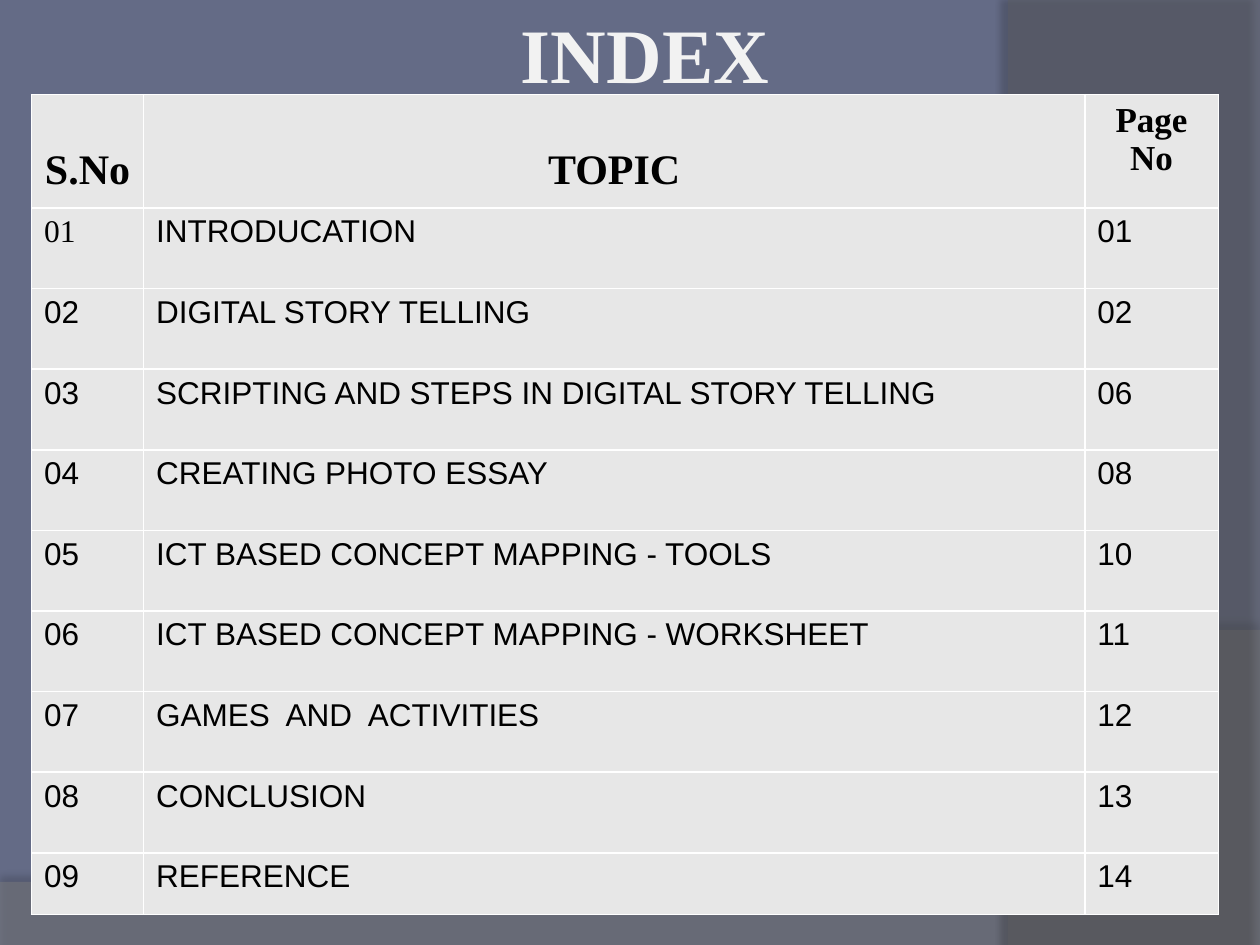
from lxml import etree
from pptx import Presentation
from pptx import util as u
from pptx.dml.color import RGBColor
from pptx.enum import text
from pptx.oxml import parse_xml
from pptx.oxml.ns import nsdecls, qn

SERIF, SANS = "Times New Roman", "Arial"
TOPICS = [
    ("INTRODUCATION", "01"),
    ("DIGITAL STORY TELLING", "02"),
    ("SCRIPTING AND STEPS IN DIGITAL STORY TELLING", "06"),
    ("CREATING PHOTO ESSAY", "08"),
    ("ICT BASED CONCEPT MAPPING - TOOLS", "10"),
    ("ICT BASED CONCEPT MAPPING - WORKSHEET", "11"),
    ("GAMES  AND  ACTIVITIES", "12"),
    ("CONCLUSION", "13"),
    ("REFERENCE", "14"),
]


def set_color(fill, value):
    """Give a fill one solid colour from a hex string."""
    fill.solid()
    fill.fore_color.rgb = RGBColor.from_string(value)


def line_xml(tag, color, points):
    """Return a solid line element with the given tag."""
    return parse_xml(
        f'<a:{tag} {nsdecls("a")} w="{u.Pt(points)}"><a:solidFill>'
        f'<a:srgbClr val="{color}"/></a:solidFill></a:{tag}>')


def format_text(frame, words, color, align=None, spacing=None, **font_values):
    """Write one formatted paragraph into a text frame."""
    frame.text = words
    paragraph = frame.paragraphs[0]
    for name, value in {"alignment": align, "line_spacing": spacing}.items():
        setattr(paragraph, name, value)
    font = paragraph.runs[0].font
    for name, value in font_values.items():
        setattr(font, name, value)
    set_color(font.fill, color)
    return paragraph.runs[0]


def curve(start, first, second, end, steps=40):
    """Return points along a cubic curve after its start."""
    points = []
    for step in range(1, steps + 1):
        t = step / steps
        weights = ((1 - t) ** 3, 3 * t * (1 - t) ** 2, 3 * t * t * (1 - t), t ** 3)
        points.append(tuple(
            sum(weight * value for weight, value in zip(weights, values))
            for values in zip(start, first, second, end)))
    return points


def add_wave(slide, points, color, opacity, shadow):
    """Draw a translucent background wave with a soft shadow."""
    builder = slide.shapes.build_freeform(*points[0], scale=u.Inches(1))
    builder.add_line_segments(points[1:], close=True)
    shape = builder.convert_to_shape()
    set_color(shape.fill, color)
    shape.line.fill.background()
    shape.shadow.inherit = False
    color_element = shape.fill._xPr.find(qn("a:solidFill"))[0]
    etree.SubElement(color_element, qn("a:alpha"), val=str(opacity * 1000))
    shadow_opacity, blur, distance, angle = shadow
    effects = shape._element.spPr.find(qn("a:effectLst"))
    effects.append(parse_xml(
        f'<a:outerShdw {nsdecls("a")} blurRad="{u.Pt(blur)}" dist="{u.Pt(distance)}" '
        f'dir="{angle * 60000}" algn="ctr" rotWithShape="0"><a:srgbClr val="000000">'
        f'<a:alpha val="{shadow_opacity * 1000}"/></a:srgbClr></a:outerShdw>'))


def add_background(slide, width, height):
    """Colour the slide and draw the bottom and right waves."""
    set_color(slide.background.fill, "646B86")
    bottom = [(0, 7.05), (0, height), (width, height), (width, 5.2)]
    bottom += curve((width, 5.2), (5.59, 7.29), (3.91, 7.19), (0, 7.05))
    add_wave(slide, bottom, "7F7F7F", 45, (35, 4, 3.5, 270))
    right = [(width, 0), (width, height), (8.21, height)]
    right += curve((8.21, height), (9.35, 6.19), (10.18, 3), (8, 0))
    add_wave(slide, right, "5E5E5E", 40, (45, 4, 4, 180))


def add_title(slide, left, top, width, height):
    """Place the outlined title in its placeholder."""
    title = slide.shapes.title
    box = {"left": left, "top": top, "width": width, "height": height}
    for name, value in box.items():
        setattr(title, name, u.Inches(value))
    run = format_text(title.text_frame, "INDEX", "F2F2F2", text.PP_ALIGN.CENTER,
                      name=SERIF, size=u.Pt(44), bold=True)
    run.font._element.insert(0, line_xml("ln", "7D7D7D", 0.83))
    frame_values = {"vertical_anchor": text.MSO_ANCHOR.TOP, "word_wrap": True,
                    "auto_size": text.MSO_AUTO_SIZE.SHAPE_TO_FIT_TEXT}
    for name, value in frame_values.items():
        setattr(title.text_frame, name, value)


def style_cell(cell):
    """Give a cell its grey fill and white borders."""
    set_color(cell.fill, "E7E7E7")
    properties = cell._tc.get_or_add_tcPr()
    for position, tag in enumerate(("lnL", "lnR", "lnT", "lnB")):
        properties.insert(position, line_xml(tag, "FFFFFF", 1))


def add_index_table(slide, left, top, width, height):
    """Add the table of topics and page numbers."""
    rows = [("S.No", "TOPIC", "Page No")]
    rows += [(f"{number:02}", *topic) for number, topic in enumerate(TOPICS, 1)]
    box = [u.Inches(value) for value in (left, top, width, height)]
    table = slide.shapes.add_table(len(rows), 3, *box).table
    for column, size in zip(table.columns, (0.89, 7.47, 1.06)):
        column.width = u.Inches(size)
    for row, size in zip(table.rows, [0.89] + [0.64] * 8 + [0.49]):
        row.height = u.Inches(size)
    for row_index, values in enumerate(rows):
        for column_index, words in enumerate(values):
            cell = table.cell(row_index, column_index)
            style_cell(cell)
            if row_index == 0:
                last = column_index == 2
                style = {"align": text.PP_ALIGN.CENTER, "spacing": None if last else 2.0,
                         "name": SERIF, "size": u.Pt(20 if last else 24), "bold": True}
            else:
                first = (row_index, column_index) == (1, 0)
                style = {"name": SERIF if first else SANS, "size": u.Pt(18), "bold": False}
            format_text(cell.text_frame, words, "000000", **style)


def main():
    """Build and save the index slide."""
    presentation = Presentation()
    presentation.slide_width, presentation.slide_height = u.Inches(10), u.Inches(7.5)
    slide = presentation.slides.add_slide(presentation.slide_layouts[5])
    add_background(slide, 10, 7.5)
    add_index_table(slide, 0.25, 0.75, 9.42, 6.5)
    add_title(slide, 3.33, 0, 3.58, 0.84)
    presentation.save("out.pptx")


if __name__ == "__main__":
    main()
